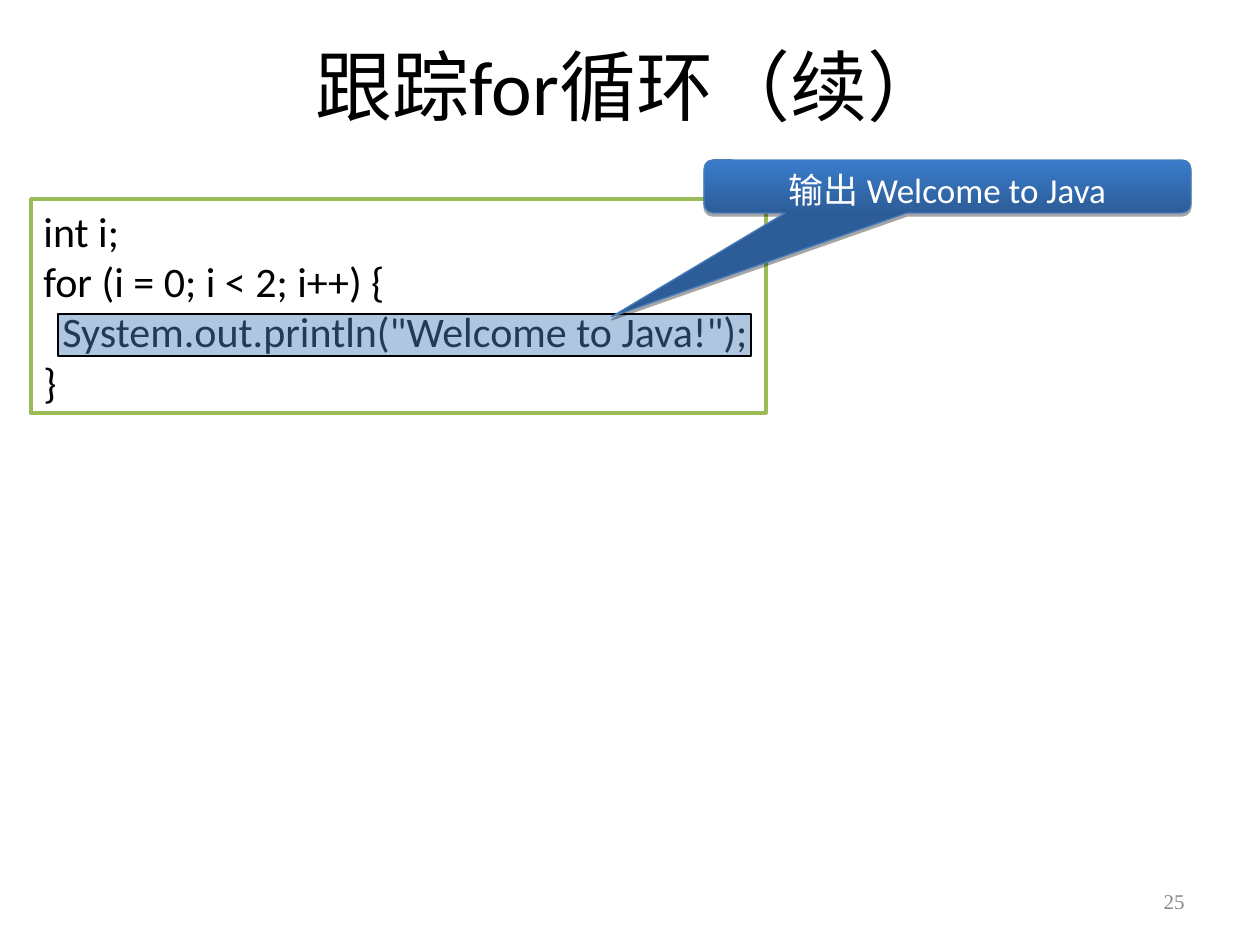
import pptx
import pptx.dml.color
import pptx.enum.shapes
import pptx.enum.text
import pptx.oxml
import pptx.oxml.ns
import pptx.util

RGBColor = pptx.dml.color.RGBColor
SHAPE = pptx.enum.shapes.MSO_SHAPE
ALIGN = pptx.enum.text.PP_ALIGN
ANCHOR = pptx.enum.text.MSO_ANCHOR

PX = pptx.util.Inches(1) / 126

BLACK = RGBColor(0x00, 0x00, 0x00)
WHITE = RGBColor(0xFF, 0xFF, 0xFF)
GREY = RGBColor(0x89, 0x89, 0x89)
GREEN = RGBColor(0x9B, 0xBB, 0x59)
HIGHLIGHT_BLUE = RGBColor(0x4F, 0x81, 0xBD)
CALLOUT_DARK = RGBColor(0x2C, 0x5D, 0x98)
CALLOUT_LIGHT = RGBColor(0x3A, 0x7C, 0xCB)
CALLOUT_LINE = RGBColor(0x4A, 0x7E, 0xBB)

CODE = [
    "int i;",
    "for (i = 0; i < 2; i++) {",
    '  System.out.println("Welcome to Java!");',
    "}",
]


def px(*lengths):
    return [round(length * PX) for length in lengths]


def write(shape, lines, size, color, align, anchor=ANCHOR.TOP, font="Calibri"):
    frame = shape.text_frame
    frame.word_wrap = True
    frame.vertical_anchor = anchor
    frame.text = "\n".join(lines)
    for paragraph in frame.paragraphs:
        paragraph.alignment = align
        paragraph.font.name = font
        paragraph.font.size = pptx.util.Pt(size)
        paragraph.font.color.rgb = color


def add_label(slide, box, text, size, color, align, font="Calibri"):
    label = slide.shapes.add_textbox(*px(*box))
    write(label, [text], size, color, align, ANCHOR.MIDDLE, font)


def add_outlined(slide, kind, box, fill, line, width):
    shape = slide.shapes.add_shape(kind, *px(*box))
    shape.shadow.inherit = False
    if fill is not None:
        shape.fill.solid()
        shape.fill.fore_color.rgb = fill
    shape.line.color.rgb = line
    shape.line.width = pptx.util.Pt(width)
    return shape


def add_code(slide, box):
    code = add_outlined(slide, SHAPE.RECTANGLE, box, WHITE, GREEN, 2)
    write(code, CODE, 24, BLACK, ALIGN.LEFT)


def add_highlight(slide, box):
    """Translucent bar over the statement being executed."""
    bar = add_outlined(slide, SHAPE.RECTANGLE, box, HIGHLIGHT_BLUE, BLACK, 1)
    color = bar.fill._xPr.find(".//" + pptx.oxml.ns.qn("a:srgbClr"))
    color.append(pptx.oxml.parse_xml(
        f'<a:alpha {pptx.oxml.ns.nsdecls("a")} val="45000"/>'))


def add_callout(slide, box, text):
    callout = add_outlined(slide, SHAPE.ROUNDED_RECTANGULAR_CALLOUT, box,
                           None, CALLOUT_LINE, 0.75)
    for index, value in enumerate((-0.69, 2.46, 0.17)):
        callout.adjustments[index] = value
    callout.fill.gradient()
    callout.fill.gradient_angle = 90
    for stop, color in zip(callout.fill.gradient_stops,
                           (CALLOUT_DARK, CALLOUT_LIGHT)):
        stop.color.rgb = color
    effects = callout._element.spPr.find(pptx.oxml.ns.qn("a:effectLst"))
    effects.append(pptx.oxml.parse_xml(
        f'<a:outerShdw {pptx.oxml.ns.nsdecls("a")} blurRad="0" '
        f'dist="{pptx.util.Pt(1.8)}" dir="5400000" rotWithShape="0">'
        '<a:srgbClr val="000000"><a:alpha val="35000"/></a:srgbClr>'
        '</a:outerShdw>'))
    write(callout, [text], 20, WHITE, ALIGN.CENTER)


def main():
    deck = pptx.Presentation()
    deck.slide_width, deck.slide_height = px(1260, 945)
    slide = deck.slides.add_slide(deck.slide_layouts[6])
    add_label(slide, (94, 32, 1072, 105), "跟踪for循环（续）", 44, BLACK,
              ALIGN.CENTER)
    add_label(slide, (903, 876, 294, 50), "25", 12, GREY, ALIGN.RIGHT,
              "Times New Roman")
    add_code(slide, (31, 199, 735, 214))
    add_highlight(slide, (58, 314, 693, 42))
    add_callout(slide, (704, 160, 487, 53), "输出 Welcome to Java")
    deck.save("out.pptx")


if __name__ == "__main__":
    main()
